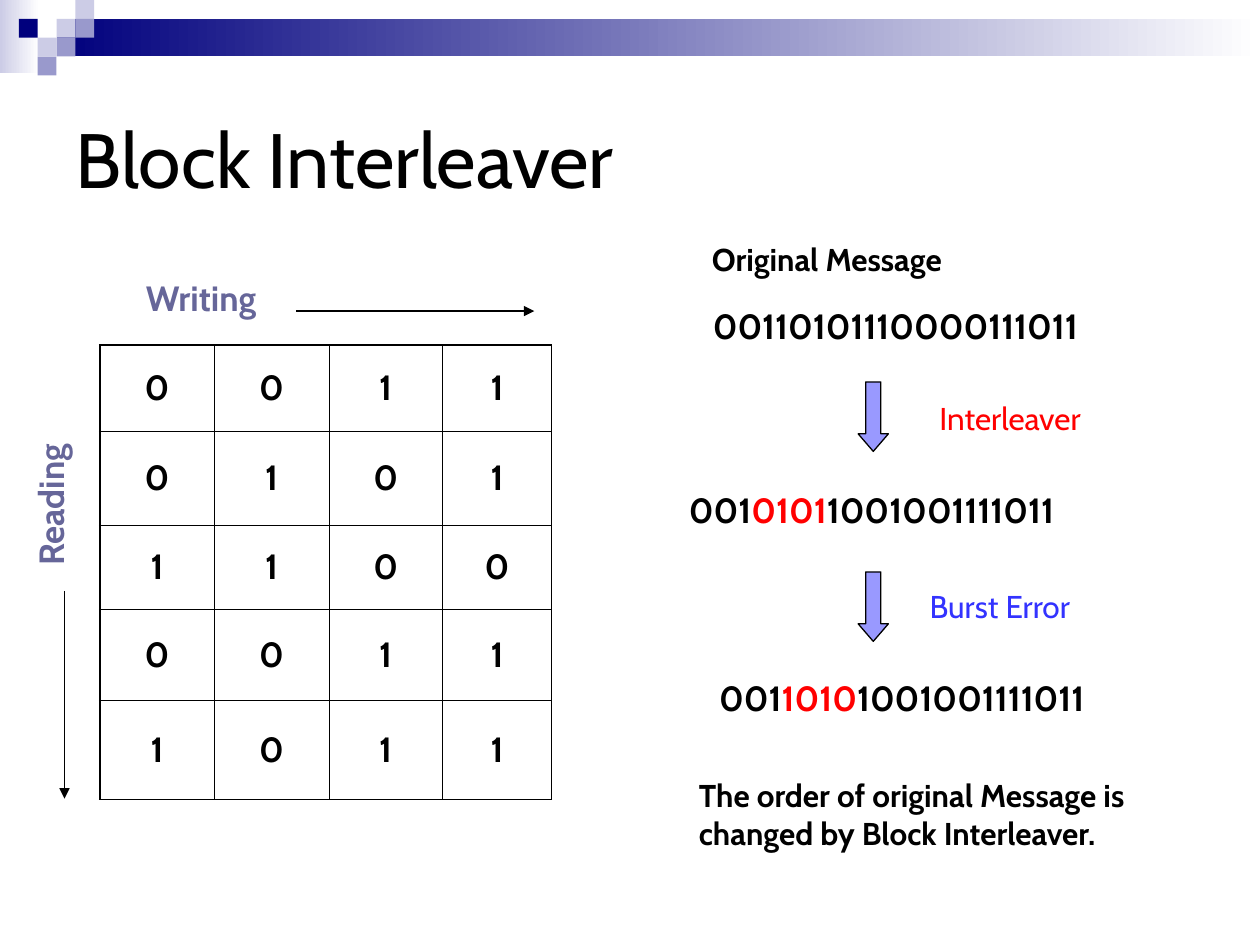
from lxml.etree import SubElement
from pptx import Presentation
from pptx.dml.color import RGBColor
from pptx.enum.shapes import MSO_CONNECTOR, MSO_SHAPE
from pptx.enum.text import MSO_ANCHOR, MSO_AUTO_SIZE, PP_ALIGN
from pptx.oxml import parse_xml
from pptx.oxml.ns import nsdecls, qn
from pptx.util import Cm, Pt

COLORS = {
    "black": "000000", "white": "FFFFFF", "navy": "00007D",
    "pale": "CCCCE6", "mid": "9999CC", "slate": "666699",
    "arrow": "9999FF", "red": "FF0000", "blue": "3333FF",
}


def rgb(name):
    return RGBColor.from_string(COLORS[name])


class SlideBuilder:
    def __init__(self, slide, font="Cabin"):
        self.slide = slide
        self.font = font

    def style(self, font, size, color=None, bold=False):
        font.name = self.font
        font.size = Pt(size)
        font.bold = bold
        if color:
            font.color.rgb = rgb(color)

    def title(self, text, left, top, width, height):
        sp = self.slide.shapes.title
        sp.left, sp.top, sp.width, sp.height = map(Cm, (left, top, width, height))
        tf = sp.text_frame
        tf.text = text
        tf.auto_size = MSO_AUTO_SIZE.NONE
        tf.vertical_anchor = MSO_ANCHOR.MIDDLE
        p = tf.paragraphs[0]
        p.alignment = PP_ALIGN.LEFT
        self.style(p.font, 44, "black")

    def shape(self, kind, left, top, width, height, fill, fade_to=None, line=None):
        sp = self.slide.shapes.add_shape(kind, *map(Cm, (left, top, width, height)))
        sp.shadow.inherit = False
        if fade_to:
            sp.fill.gradient()
            sp.fill.gradient_angle = 0
            for stop, color in zip(sp.fill.gradient_stops, (fill, fade_to)):
                stop.color.rgb = rgb(color)
        else:
            sp.fill.solid()
            sp.fill.fore_color.rgb = rgb(fill)
        if line:
            sp.line.color.rgb = rgb(line)
            sp.line.width = Pt(0.75)
        else:
            sp.line.fill.background()
        return sp

    def down_arrow(self, left, top):
        sp = self.shape(MSO_SHAPE.DOWN_ARROW, left, top, 0.61, 1.4, "arrow", line="black")
        sp.adjustments[1] = 0.58

    def text(self, runs, left, top, width, height, size=20, bold=True, vertical=False):
        sp = self.slide.shapes.add_textbox(*map(Cm, (left, top, width, height)))
        tf = sp.text_frame
        tf.word_wrap = True
        if vertical:
            tf._txBody.bodyPr.set("vert", "vert270")
            tf.margin_left = tf.margin_right = Cm(0.13)
            tf.margin_top = tf.margin_bottom = Cm(0.25)
        p = tf.paragraphs[0]
        self.style(p.font, size, bold=bold)
        for text, color in runs:
            r = p.add_run()
            r.text = text
            r.font.color.rgb = rgb(color)

    def arrow_line(self, x1, y1, x2, y2):
        cxn = self.slide.shapes.add_connector(
            MSO_CONNECTOR.STRAIGHT, *map(Cm, (x1, y1, x2, y2)))
        cxn.line.color.rgb = rgb("black")
        cxn.line.width = Pt(0.75)
        SubElement(cxn.line._get_or_add_ln(), qn("a:tailEnd"), type="triangle")
        SubElement(cxn._element.spPr, qn("a:effectLst"))

    def borders(self, cell, edges):
        tc_pr = cell._tc.get_or_add_tcPr()
        for i, (side, outer) in enumerate(edges.items()):
            width = Pt(1.08 if outer else 0.45)
            tc_pr.insert(i, parse_xml(
                f'<a:ln{side} {nsdecls("a")} w="{width}"><a:solidFill>'
                f'<a:srgbClr val="{COLORS["black"]}"/></a:solidFill></a:ln{side}>'))

    def table(self, rows, left, top, widths, heights):
        frame = self.slide.shapes.add_table(
            len(rows), len(widths),
            *map(Cm, (left, top, sum(widths), sum(heights))))
        table = frame.table
        for column, width in zip(table.columns, widths):
            column.width = Cm(width)
        for row, height in zip(table.rows, heights):
            row.height = Cm(height)
        for i, bits in enumerate(rows):
            for j, bit in enumerate(bits):
                cell = table.cell(i, j)
                cell.text = bit
                cell.vertical_anchor = MSO_ANCHOR.MIDDLE
                cell.fill.background()
                p = cell.text_frame.paragraphs[0]
                p.alignment = PP_ALIGN.CENTER
                self.style(p.font, 20, "black", True)
                self.borders(cell, {
                    "L": j == 0, "R": j == len(widths) - 1,
                    "T": i == 0, "B": i == len(rows) - 1})


def main():
    prs = Presentation()
    prs.slide_width, prs.slide_height = Cm(25.4), Cm(19.05)
    s = SlideBuilder(prs.slides.add_slide(prs.slide_layouts[5]))

    s.shape(MSO_SHAPE.RECTANGLE, 0, 0, 0.79, 1.47, "pale", "white")
    s.shape(MSO_SHAPE.RECTANGLE, 1.14, 0.38, 24.26, 0.76, "navy", "white")
    square = 0.38
    for column, row, color in [
        (3, 1, "pale"), (4, 0, "pale"), (4, 1, "mid"), (2, 2, "pale"),
        (1, 1, "navy"), (3, 2, "mid"), (2, 3, "mid"),
    ]:
        s.shape(MSO_SHAPE.RECTANGLE, column * square, row * square, square, square, color)

    s.title("Block Interleaver", 1.27, 1.27, 22.86, 3.81)

    s.table(["0011", "0101", "1100", "0011", "1011"], 2.01, 6.96,
            [2.31, 2.31, 2.29, 2.2], [1.73, 1.9, 1.7, 1.83, 2])
    s.arrow_line(5.97, 6.27, 10.77, 6.27)
    s.arrow_line(1.3, 11.91, 1.3, 16.1)
    s.text([("Writing", "slate")], 2.69, 5.44, 3.15, 1.12)
    s.text([("Reading", "slate")], 0.46, 8.51, 1.35, 3.15, vertical=True)

    s.text([("Original Message", "black")], 14.1, 4.72, 7.19, 1.02, 18)
    s.text([("00110101110000111011", "black")], 14.12, 6.02, 8.59, 1.12)
    for left, top, burst in [(13.64, 9.73, "0101"), (14.25, 13.51, "1010")]:
        s.text([("001", "black"), (burst, "red"), ("1001001111011", "black")],
               left, top, 8.59, 1.12)
    for top in (7.7, 11.53):
        s.down_arrow(17.3, top)
    s.text([("Interleaver", "red")], 18.69, 7.92, 4.39, 1.02, 18, False)
    s.text([("Burst Error", "blue")], 18.49, 11.71, 5.41, 1.02, 18, False)
    s.text([("The order of original Message is changed by Block Interleaver.", "black")],
           13.84, 15.52, 11.25, 1.78, 18)

    prs.save("out.pptx")


if __name__ == "__main__":
    main()
